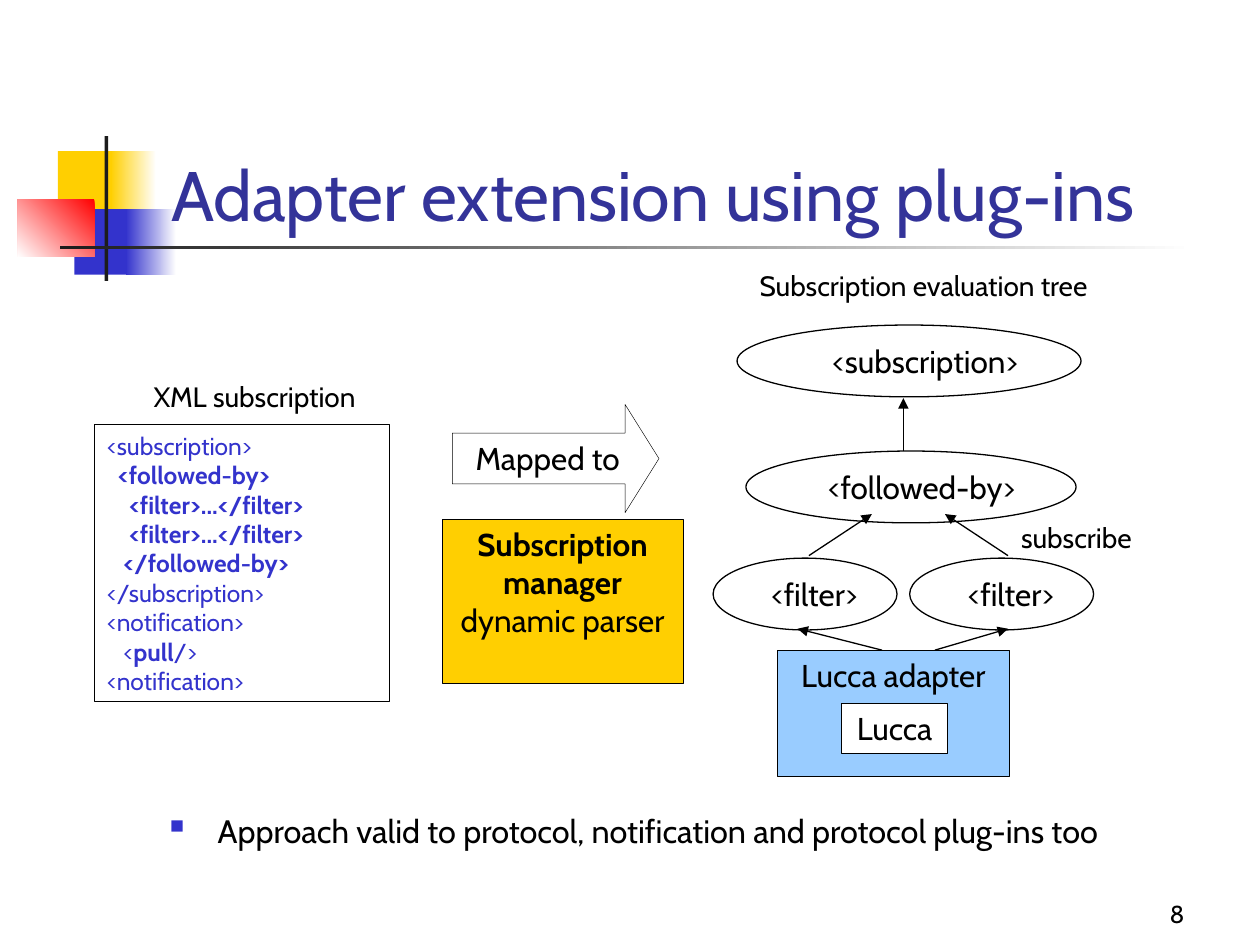
from lxml.etree import SubElement
from pptx import Presentation
from pptx.dml.color import RGBColor
from pptx.enum.shapes import MSO_CONNECTOR, MSO_SHAPE as Shape
from pptx.enum.text import MSO_ANCHOR as Anchor, PP_ALIGN as Align
from pptx.oxml.ns import qn
from pptx.util import Inches, Pt

BLACK, WHITE, BLUE, YELLOW = "000000", "FFFFFF", "3333CC", "FFCF01"
DARK = "1C1C1C"
THIN, MEDIUM = 0.26, 0.74
SPACE = 0.044  # width of one indent step in the XML listing

prs = Presentation()
prs.slide_width, prs.slide_height = Inches(10), Inches(7.5)
slide = prs.slides.add_slide(prs.slide_layouts[6])
shapes = slide.shapes


def rgb(value):
    return RGBColor.from_string(value)


def write(box, lines, size=18, color=BLACK, align=Align.CENTER, anchor=Anchor.TOP):
    """Each line is (indent steps, [(text, bold), ...])."""
    frame = box.text_frame
    frame.word_wrap = True
    frame.vertical_anchor = anchor
    for number, (steps, pieces) in enumerate(lines):
        line = frame.add_paragraph() if number else frame.paragraphs[0]
        line.alignment = align
        if steps:
            line._p.get_or_add_pPr().set("marL", str(Inches(steps * SPACE)))
        for words, bold in pieces:
            run = line.add_run()
            run.text = words
            run.font.name, run.font.size, run.font.bold = "Cabin", Pt(size), bold
            run.font.color.rgb = rgb(color)
    return frame


# Corner ornament and rule: box, then a solid colour or (from, to, angle)
ornament = [
    ((0.46, 1.2, 0.48, 0.52), YELLOW),
    ((0.88, 1.2, 0.36, 0.52), (WHITE, YELLOW, 180)),
    ((0.59, 1.66, 0.46, 0.52), BLUE),
    ((1, 1.66, 0.4, 0.52), (WHITE, BLUE, 180)),
    ((0.14, 1.58, 0.61, 0.46), ("FF0000", WHITE, 225)),
    ((0.83, 1.08, 0.03, 1.15), DARK),
    ((0.48, 1.95, 9, 0.03), (WHITE, DARK, 180)),
]
for place, paint in ornament:
    block = shapes.add_shape(Shape.RECTANGLE, *map(Inches, place))
    block.shadow.inherit = False
    block.line.fill.background()
    if isinstance(paint, str):
        block.fill.solid()
        block.fill.fore_color.rgb = rgb(paint)
    else:
        block.fill.gradient()
        block.fill.gradient_angle = paint[2]
        for stop, tone in zip(block.fill.gradient_stops, paint):
            stop.color.rgb = rgb(tone)

# Diagram nodes: shape, box, fill, line width, lines of text, format
listing = [
    (0, [("<subscription>", False)]),
    (2, [("<followed-by>", True)]),
    (4, [("<filter>...</filter>", True)]),
    (4, [("<filter>...</filter>", True)]),
    (3, [("</followed-by>", True)]),
    (0, [("</subscription>", False)]),
    (0, [("<notification>", False)]),
    (3, [("<", False), ("pull", True), ("/>", False)]),
    (0, [("<notification>", False)]),
]
manager = [(0, [("Subscription manager", True)]), (0, [("dynamic parser", False)])]
tree = [
    ("<filter>", (5.66, 4.43, 1.46, 0.57)),
    ("<filter>", (7.22, 4.43, 1.46, 0.57)),
    ("<subscription>", (5.85, 2.58, 2.73, 0.57)),
    ("<followed-by>", (5.92, 3.58, 2.62, 0.57)),
]
nodes = [
    (Shape.RECTANGLE, (0.75, 3.37, 2.34, 2.2), None, MEDIUM, listing,
     dict(size=14, color=BLUE, align=Align.LEFT)),
    (Shape.RECTANGLE, (6.17, 5.16, 1.84, 1), "99CCFF", THIN,
     [(0, [("Lucca adapter", False)])], {}),
    (Shape.RECTANGLE, (6.68, 5.58, 0.84, 0.4), WHITE, THIN,
     [(0, [("Lucca", False)])], {}),
    *[(Shape.OVAL, place, None, MEDIUM, [(0, [(tag, False)])], dict(align=Align.RIGHT))
      for tag, place in tree],
    (Shape.RIGHT_ARROW, (3.59, 3.21, 1.64, 0.86), None, THIN,
     [(0, [("Mapped to", False)])], {}),
    (Shape.RECTANGLE, (3.51, 4.12, 1.91, 1.3), YELLOW, THIN, manager, {}),
]
for kind, place, fill, width, lines, style in nodes:
    node = shapes.add_shape(kind, *map(Inches, place))
    node.shadow.inherit = False
    if fill:
        node.fill.solid()
        node.fill.fore_color.rgb = rgb(fill)
    else:
        node.fill.background()
    node.line.color.rgb = rgb(BLACK)
    node.line.width = Pt(width)
    if kind == Shape.RIGHT_ARROW:
        node.adjustments[0], node.adjustments[1] = 0.469, 0.313
    write(node, lines, **style)

# Arrows up the evaluation tree
arrows = [
    (7, 5.16, 6.33, 4.99),
    (7.42, 5.16, 8, 4.99),
    (6.42, 4.41, 6.92, 4.08),
    (8, 4.41, 7.5, 4.08),
    (7.17, 3.58, 7.17, 3.16),
]
for ends in arrows:
    arrow = shapes.add_connector(MSO_CONNECTOR.STRAIGHT, *map(Inches, ends))
    arrow.line.color.rgb = rgb(BLACK)
    arrow.line.width = Pt(MEDIUM)
    SubElement(arrow.line._get_or_add_ln(), qn("a:tailEnd"), type="triangle")
    SubElement(arrow._element.spPr, qn("a:effectLst"))

# Title, captions and slide number
captions = [
    ("Adapter extension using plug-ins", (1.26, 0.67, 8.52, 1.25),
     dict(size=40, color="333399", align=Align.LEFT, anchor=Anchor.BOTTOM)),
    ("subscribe", (7.88, 4.08, 1.2, 0.37), dict(size=16, align=Align.RIGHT)),
    ("Subscription evaluation tree", (5.61, 2.08, 3.12, 0.37),
     dict(size=16, align=Align.RIGHT)),
    ("XML subscription", (0.93, 2.96, 1.99, 0.37), dict(size=16, align=Align.RIGHT)),
    ("8", (7.42, 6.92, 2.08, 0.5),
     dict(size=14, align=Align.RIGHT, anchor=Anchor.BOTTOM)),
]
for words, place, style in captions:
    write(shapes.add_textbox(*map(Inches, place)), [(0, [(words, False)])], **style)

# Closing bullet
closing = "Approach valid to protocol, notification and protocol plug-ins too"
remark = write(shapes.add_textbox(*map(Inches, (1.25, 6.5, 8.5, 0.54))),
               [(0, [(closing, False)])], size=18.5, align=Align.LEFT).paragraphs[0]
remark.line_spacing, remark.space_before = 0.6, Pt(5)
bullet = remark._p.get_or_add_pPr()
bullet.set("marL", str(Inches(0.38)))
bullet.set("indent", str(Inches(-0.38)))
SubElement(SubElement(bullet, qn("a:buClr")), qn("a:srgbClr"), val=BLUE)
SubElement(bullet, qn("a:buSzPct"), val="60000")
SubElement(bullet, qn("a:buChar"), char="■")

prs.save("out.pptx")
